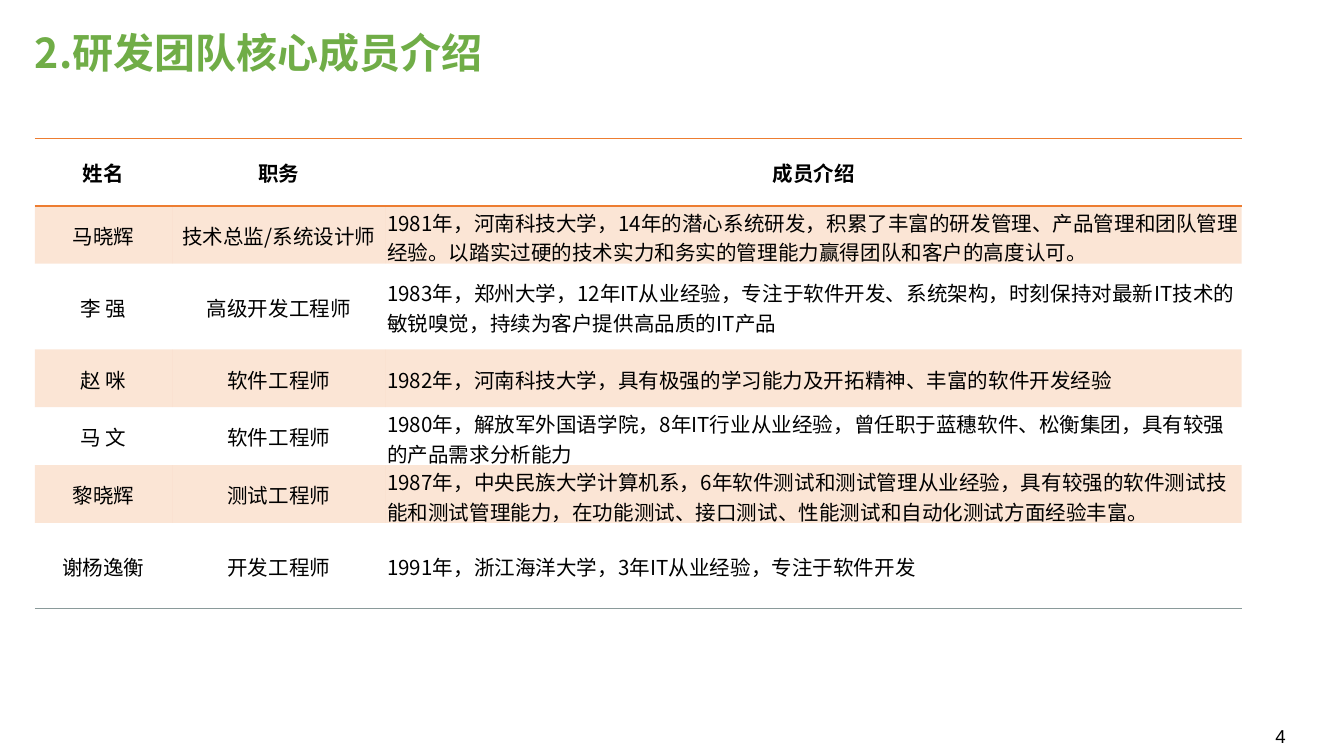
import dataclasses

import lxml.etree
import pptx
import pptx.dml.color
import pptx.enum.text
import pptx.oxml.ns
import pptx.util

Pt = pptx.util.Pt
ALIGN = pptx.enum.text.PP_ALIGN
ANCHOR = pptx.enum.text.MSO_ANCHOR
qn = pptx.oxml.ns.qn


@dataclasses.dataclass(frozen=True)
class Theme:
    cjk: str = "Noto Sans CJK SC"
    latin: str = "Arial"
    green: str = "70AD47"
    orange: str = "ED7D31"
    grey: str = "8A9A9A"
    black: str = "000000"
    title_size: float = 22
    table_size: float = 11
    number_size: float = 10
    band_alpha: int = 20
    plain_table: str = "{2D5ABB26-0587-4C30-8999-92F81FD0307C}"


THEME = Theme()
LEFT = 18.7
COLUMNS = (73.5, 114.5, 458.5)
ROWS = (36, 31, 46, 31, 31, 31, 46)
MEMBERS = (
    ("姓名", "职务", "成员介绍"),
    ("马晓辉", "技术总监/系统设计师",
     "1981年，河南科技大学，14年的潜心系统研发，积累了丰富的研发管理、产品管理和团队管理经验。"
     "以踏实过硬的技术实力和务实的管理能力赢得团队和客户的高度认可。"),
    ("李 强", "高级开发工程师",
     "1983年，郑州大学，12年IT从业经验，专注于软件开发、系统架构，"
     "时刻保持对最新IT技术的敏锐嗅觉，持续为客户提供高品质的IT产品"),
    ("赵 咪", "软件工程师",
     "1982年，河南科技大学，具有极强的学习能力及开拓精神、丰富的软件开发经验"),
    ("马 文", "软件工程师",
     "1980年，解放军外国语学院，8年IT行业从业经验，曾任职于蓝穗软件、松衡集团，"
     "具有较强的产品需求分析能力"),
    ("黎晓辉", "测试工程师",
     "1987年，中央民族大学计算机系，6年软件测试和测试管理从业经验，具有较强的软件测试技能和"
     "测试管理能力，在功能测试、接口测试、性能测试和自动化测试方面经验丰富。"),
    ("谢杨逸衡", "开发工程师",
     "1991年，浙江海洋大学，3年IT从业经验，专注于软件开发"),
)


def rgb(color):
    return pptx.dml.color.RGBColor.from_string(color)


def write(p, text, font, size, color, bold=False, align=ALIGN.LEFT):
    p.text = text
    p.alignment = align
    p.font.name, p.font.size, p.font.bold = font, Pt(size), bold
    p.font.color.rgb = rgb(color)
    # East Asian typeface
    props = p.font._element if hasattr(p.font, "_element") else p.font._rPr
    latin = props.find(qn("a:latin"))
    ea = lxml.etree.Element(qn("a:ea"), typeface=font)
    latin.addnext(ea)


def add_text(slide, box, text, font, size, color, bold=False,
             anchor=ANCHOR.TOP, spacing=None):
    sp = slide.shapes.add_textbox(*(Pt(v) for v in box))
    tf = sp.text_frame
    tf.word_wrap = True
    tf.margin_left = tf.margin_right = tf.margin_top = tf.margin_bottom = 0
    tf.vertical_anchor = anchor
    p = tf.paragraphs[0]
    write(p, text, font, size, color, bold)
    if spacing:
        p.line_spacing = Pt(spacing)


def add_border(cell, side, color, width):
    ln = lxml.etree.SubElement(cell._tc.get_or_add_tcPr(), qn("a:" + side),
                               w=str(Pt(width)))
    fill = lxml.etree.SubElement(ln, qn("a:solidFill"))
    lxml.etree.SubElement(fill, qn("a:srgbClr"), val=color)


def fill_band(cell):
    cell.fill.solid()
    cell.fill.fore_color.rgb = rgb(THEME.orange)
    color = cell._tc.tcPr.find(".//" + qn("a:srgbClr"))
    lxml.etree.SubElement(color, qn("a:alpha"), val=str(THEME.band_alpha * 1000))


def format_cell(cell, text, row, col):
    header, last = row == 0, row == len(ROWS) - 1
    cell.margin_left = cell.margin_right = cell.margin_top = Pt(0.75)
    cell.margin_bottom = 0
    cell.vertical_anchor = ANCHOR.MIDDLE
    align = ALIGN.CENTER if header or col < 2 else ALIGN.LEFT
    write(cell.text_frame.paragraphs[0], text, THEME.cjk, THEME.table_size,
          THEME.black, header, align)
    # Rules around the header and below the last row
    if header:
        add_border(cell, "lnT", THEME.orange, 1)
        add_border(cell, "lnB", THEME.orange, 1)
    elif last:
        add_border(cell, "lnB", THEME.grey, 1)
    # Tint on odd rows
    if row % 2:
        fill_band(cell)
    else:
        cell.fill.background()


def add_member_table(slide):
    frame = slide.shapes.add_table(len(ROWS), len(COLUMNS), Pt(LEFT), Pt(74.2),
                                   Pt(sum(COLUMNS)), Pt(sum(ROWS)))
    table = frame.table
    table.horz_banding = False
    table.first_row = False
    frame._element.find(".//" + qn("a:tableStyleId")).text = THEME.plain_table
    for column, width in zip(table.columns, COLUMNS):
        column.width = Pt(width)
    for row, height in zip(table.rows, ROWS):
        row.height = Pt(height)
    for r, member in enumerate(MEMBERS):
        for c, text in enumerate(member):
            format_cell(table.cell(r, c), text, r, c)


def main():
    prs = pptx.Presentation()
    prs.slide_width, prs.slide_height = Pt(720), Pt(405)
    slide = prs.slides.add_slide(prs.slide_layouts[6])
    # Title
    add_text(slide, (LEFT, 17.3, 575, 24), "2.研发团队核心成员介绍", THEME.cjk,
             THEME.title_size, THEME.green, bold=True, spacing=24)
    # Team members
    add_member_table(slide)
    # Slide number
    add_text(slide, (683.3, 388, 26.6, 12.2), "4", THEME.latin,
             THEME.number_size, THEME.black, anchor=ANCHOR.MIDDLE)
    prs.save("out.pptx")


main()
